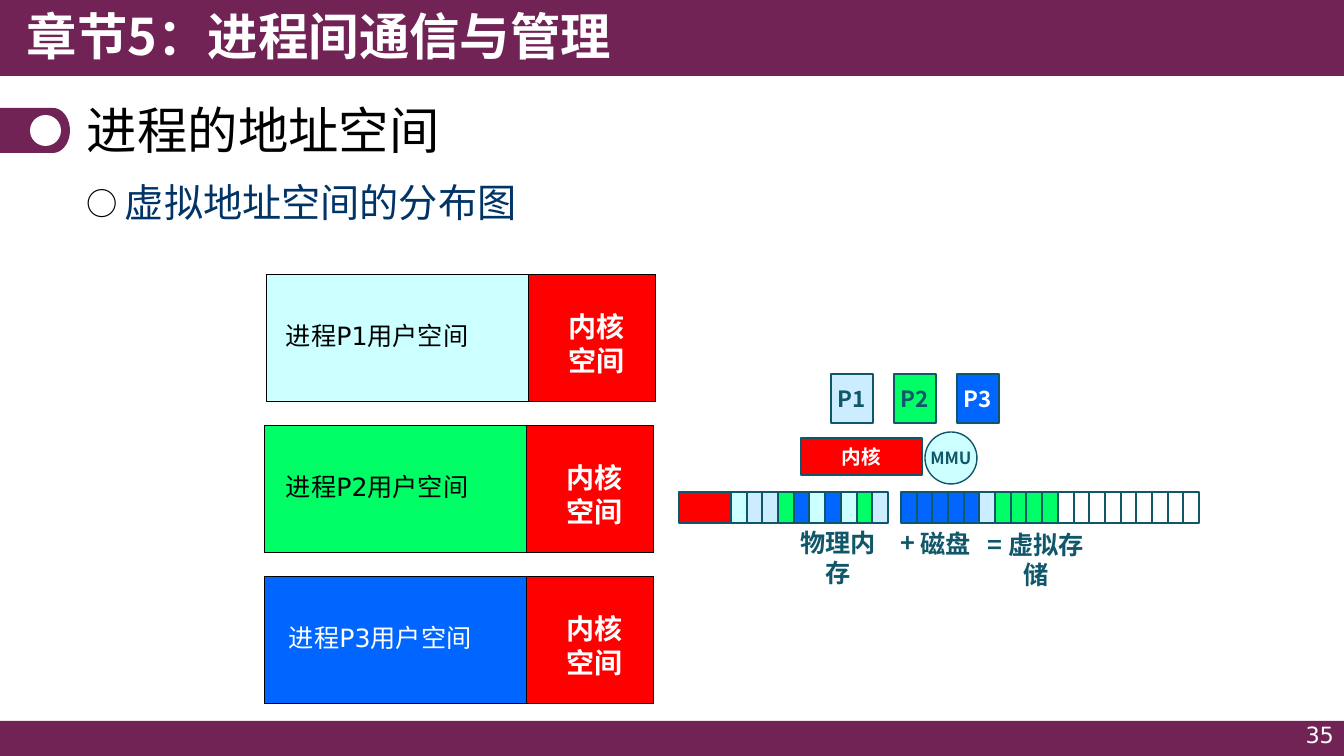
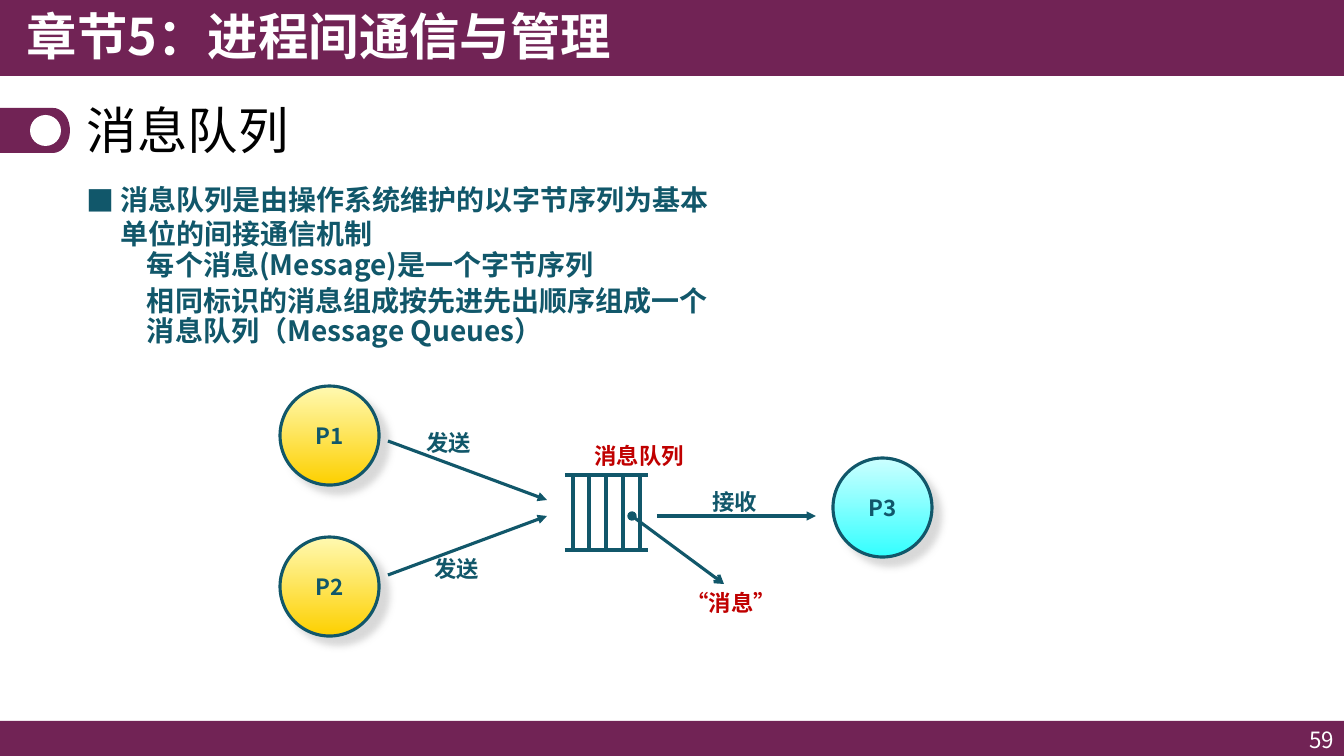
"""Build two slides on process address spaces and message queues."""
import math

from lxml import etree
from pptx import Presentation
from pptx.dml.color import RGBColor
from pptx.enum.shapes import MSO_CONNECTOR, MSO_SHAPE
from pptx.enum.text import MSO_ANCHOR, PP_ALIGN
from pptx.oxml.ns import qn
from pptx.util import Emu, Pt

RECT, OVAL = MSO_SHAPE.RECTANGLE, MSO_SHAPE.OVAL
STRAIGHT = MSO_CONNECTOR.STRAIGHT
LEFT, CENTER, RIGHT = PP_ALIGN.LEFT, PP_ALIGN.CENTER, PP_ALIGN.RIGHT
TOP, MIDDLE = MSO_ANCHOR.TOP, MSO_ANCHOR.MIDDLE

SCALE = 914400 / 100.8
WIDTH, HEIGHT = 1344, 756
SANS, LATIN = "Noto Sans CJK SC", "DejaVu Sans"
COLORS = {
    "plum": "712355", "white": "FFFFFF", "black": "000000", "navy": "003366",
    "teal": "11576A", "crimson": "C00000", "red": "FF0000", "aqua": "CCFFFF",
    "sky": "CCECFF", "green": "00FF66", "blue": "0066FF", "cream": "FFF9B1",
    "gold": "FDD000", "cyan": "33FFFF", "shade": "CCCCCC",
}


def px(n):
    """Turn px into EMU."""
    return Emu(round(n * SCALE))


def rgb(name):
    """Look up a named colour."""
    return RGBColor.from_string(COLORS[name])


def add_xml(parent, tag, **attrs):
    """Append a drawing element with the given attributes."""
    return etree.SubElement(parent, qn(tag), {k: str(v) for k, v in attrs.items()})


def write(sp, lines, size, color, bold=True, font=SANS, insets=(10, 5, 10, 5),
          wrap=True, anchor=TOP, **fmt):
    """Fill a shape with one paragraph for each line."""
    tf = sp.text_frame
    margins = zip(("margin_left", "margin_top", "margin_right", "margin_bottom"),
                  map(px, insets))
    frame = {"word_wrap": wrap, "vertical_anchor": anchor, **dict(margins)}
    for key, value in frame.items():
        setattr(tf, key, value)
    for i, line in enumerate(lines):
        p = tf.add_paragraph() if i else tf.paragraphs[0]
        for key, value in {"alignment": LEFT, **fmt}.items():
            setattr(p, key, value)
        r = p.add_run()
        r.text = line
        for key, value in {"name": font, "size": Pt(size), "bold": bold}.items():
            setattr(r.font, key, value)
        add_xml(r.font._element, "a:ea", typeface=font)
        r.font.color.rgb = rgb(color)
    return tf


def text(s, box, lines, size, color, **fmt):
    """Add a text box."""
    return write(s.shapes.add_textbox(*map(px, box)), lines, size, color, **fmt)


def paint(sp, fill, line=None, weight=1):
    """Give a shape a flat fill and an optional outline."""
    sp.shadow.inherit = False
    sp.fill.solid()
    sp.fill.fore_color.rgb = rgb(fill)
    if line:
        sp.line.color.rgb = rgb(line)
        sp.line.width = Pt(weight)
    else:
        sp.line.fill.background()
    return sp


def block(s, box, fill, line=None, weight=1, kind=RECT):
    """Add a painted preset shape."""
    return paint(s.shapes.add_shape(kind, *map(px, box)), fill, line, weight)


def labelled(s, box, label, size, fill, color="teal", kind=RECT):
    """Add an outlined shape with a centred label."""
    sp = block(s, box, fill, "teal", kind=kind)
    write(sp, [label], size, color, wrap=False, anchor=MIDDLE, alignment=CENTER)


def bullet(p, char, indent, color, percent=100):
    """Give a paragraph a hanging bullet."""
    pPr = p._p.get_or_add_pPr()
    pPr.set("marL", str(px(indent)))
    pPr.set("indent", str(-px(indent)))
    add_xml(add_xml(pPr, "a:buClr"), "a:srgbClr", val=COLORS[color])
    add_xml(pPr, "a:buSzPct", val=percent * 1000)
    add_xml(pPr, "a:buFont", typeface=SANS)
    add_xml(pPr, "a:buChar", char=char)


def line(s, start, end, head=None, tail=None):
    """Add a line with optional arrowheads."""
    c = s.shapes.add_connector(STRAIGHT, *map(px, start + end))
    c.line.color.rgb = rgb("teal")
    c.line.width = Pt(2.25)
    ln = c.line._get_or_add_ln()
    for tag, kind in (("a:headEnd", head), ("a:tailEnd", tail)):
        if kind:
            add_xml(ln, tag, type=kind)
    add_xml(c._element.spPr, "a:effectLst")


def process(s, x, y, label, light, deep):
    """Add a shaded process circle."""
    sp = s.shapes.add_shape(OVAL, *map(px, (x, y, 99, 99)))
    sp.fill.gradient()
    sp.fill.gradient_angle = 270
    for stop, color in zip(sp.fill.gradient_stops, (light, deep)):
        stop.color.rgb = rgb(color)
    sp.line.color.rgb = rgb("teal")
    sp.line.width = Pt(2.25)
    sp.shadow.inherit = False
    effects = sp._element.spPr.find(qn("a:effectLst"))
    shadow = add_xml(effects, "a:outerShdw", blurRad=Pt(5), dist=Pt(8.5),
                     dir=45 * 60000, algn="ctr", rotWithShape=0)
    add_xml(add_xml(shadow, "a:srgbClr", val=COLORS["shade"]), "a:alpha", val=75000)
    write(sp, [label], 16, "teal", wrap=False, anchor=MIDDLE, alignment=CENTER)


def badge(s):
    """Add the tab with a round end beside the title."""
    angles = [math.radians(a) for a in range(-90, 91, 10)]
    arc = [(px(53 + 17 * math.cos(a)), px(130.5 + 22.5 * math.sin(a))) for a in angles]
    fb = s.shapes.build_freeform(0, px(108))
    fb.add_line_segments(arc + [(0, px(153))], close=True)
    paint(fb.convert_to_shape(), "plum")
    block(s, (30, 115, 31, 31), "white", kind=OVAL)


def new_slide(prs, title, number, number_top, number_font):
    """Add a slide with bands, chapter, title and page number."""
    s = prs.slides.add_slide(prs.slide_layouts[6])
    block(s, (0, 721, WIDTH, 35), "plum")
    block(s, (0, 0, WIDTH, 76), "plum")
    badge(s)
    text(s, (17, 0, 738, 77), ["章节5：进程间通信与管理"], 36, "white")
    text(s, (77, 96, 1190, 75), [title], 36, "black", bold=False,
         anchor=MIDDLE, line_spacing=0.9)
    text(s, (1030, number_top, 314, 33), [number], 16, "white", bold=False,
         font=number_font, anchor=MIDDLE, alignment=RIGHT)
    return s


def address_space(s, x, y, name, fill, color, left, right):
    """Add one process space with its user and kernel parts."""
    user = block(s, (x, y, 262, 127), fill, "black", 0.75)
    write(user, [f"进程{name}用户空间"], 18, color, bold=False, font=LATIN,
          insets=(left, 45, right, 5))
    kernel = block(s, (x + 262, y, 127, 127), "red", "black", 0.75)
    write(kernel, ["内核", "空间"], 20, "white", insets=(40, 35, 10, 5))


def cells(s, left, width, fills):
    """Divide a strip of storage into equal cells."""
    edges = [left + round(width * i / len(fills)) for i in range(len(fills) + 1)]
    for start, end, fill in zip(edges, edges[1:], fills):
        block(s, (start, 492, end - start, 31), fill, "teal")


def address_slide(prs):
    """Build the address space slide."""
    s = new_slide(prs, "进程的地址空间", "35", 718, LATIN)
    tf = text(s, (77, 173, 1190, 60), ["虚拟地址空间的分布图"], 28, "navy", bold=False)
    bullet(tf.paragraphs[0], "○", 38, "black", 80)

    spaces = [
        (267, "P1", "aqua", "black", 19, 40),
        (265, "P2", "green", "black", 21, 40),
        (265, "P3", "blue", "white", 24, 50),
    ]
    for i, (x, *rest) in enumerate(spaces):
        address_space(s, x, 275 + 151 * i, *rest)

    small = [("P1", "sky", "teal"), ("P2", "green", "teal"), ("P3", "blue", "white")]
    for i, (name, fill, color) in enumerate(small):
        labelled(s, (831 + 63 * i, 374, 42, 49), name, 16, fill, color)

    block(s, (679, 492, 52, 31), "red", "teal")
    cells(s, 731, 157, "aqua sky sky green blue aqua blue aqua green sky".split())
    cells(s, 901, 298, ["blue"] * 5 + ["sky"] + ["green"] * 4 + ["white"] * 9)
    labelled(s, (801, 438, 121, 37), "内核", 14, "red", "white")
    labelled(s, (925, 432, 52, 52), "MMU", 12, "aqua", kind=OVAL)

    captions = [(779, 522, 118, "物理内存"), (890, 522, 36, "+"),
                (910, 523, 71, "磁盘"), (966, 524, 140, "= 虚拟存储")]
    for x, y, w, label in captions:
        text(s, (x, y, w, 41), [label], 18, "teal", alignment=CENTER)


def queue_slide(prs):
    """Build the message queue slide."""
    s = new_slide(prs, "消息队列", "59", 723, SANS)
    points = ["消息队列是由操作系统维护的以字节序列为基本单位的间接通信机制",
              "每个消息(Message)是一个字节序列",
              "相同标识的消息组成按先进先出顺序组成一个消息队列（Message Queues）"]
    first, *others = text(s, (77, 178, 655, 180), points, 20, "teal").paragraphs
    bullet(first, "■", 33, "teal")
    for p, gap in zip(others, (1, 4)):
        p._p.get_or_add_pPr().set("marL", str(px(60)))
        p.line_spacing = 0.9
        p.space_before = Pt(gap)

    process(s, 280, 386, "P1", "cream", "gold")
    process(s, 280, 537, "P2", "cream", "gold")
    process(s, 833, 458, "P3", "aqua", "cyan")

    for y in (475, 550):
        line(s, (565, y), (648, y))
    for i in range(5):
        x = 573 + 67 * i // 4
        line(s, (x, 475), (x, 550))
    line(s, (632, 516), (724, 584), "oval", "arrow")
    for start, end in (((388, 441), (547, 500)), ((388, 575), (547, 516)),
                       ((657, 516), (816, 516))):
        line(s, start, end, tail="triangle")

    labels = [(415, 424, 66, "发送", "teal"), (423, 550, 66, "发送", "teal"),
              (701, 483, 66, "接收", "teal"), (583, 437, 111, "消息队列", "crimson"),
              (675, 584, 111, "“消息”", "crimson")]
    for x, y, w, label, color in labels:
        text(s, (x, y, w, 37), [label], 16, color, alignment=RIGHT)


def main():
    """Create and save the presentation."""
    prs = Presentation()
    prs.slide_width, prs.slide_height = px(WIDTH), px(HEIGHT)
    address_slide(prs)
    queue_slide(prs)
    prs.save("out.pptx")


if __name__ == "__main__":
    main()
